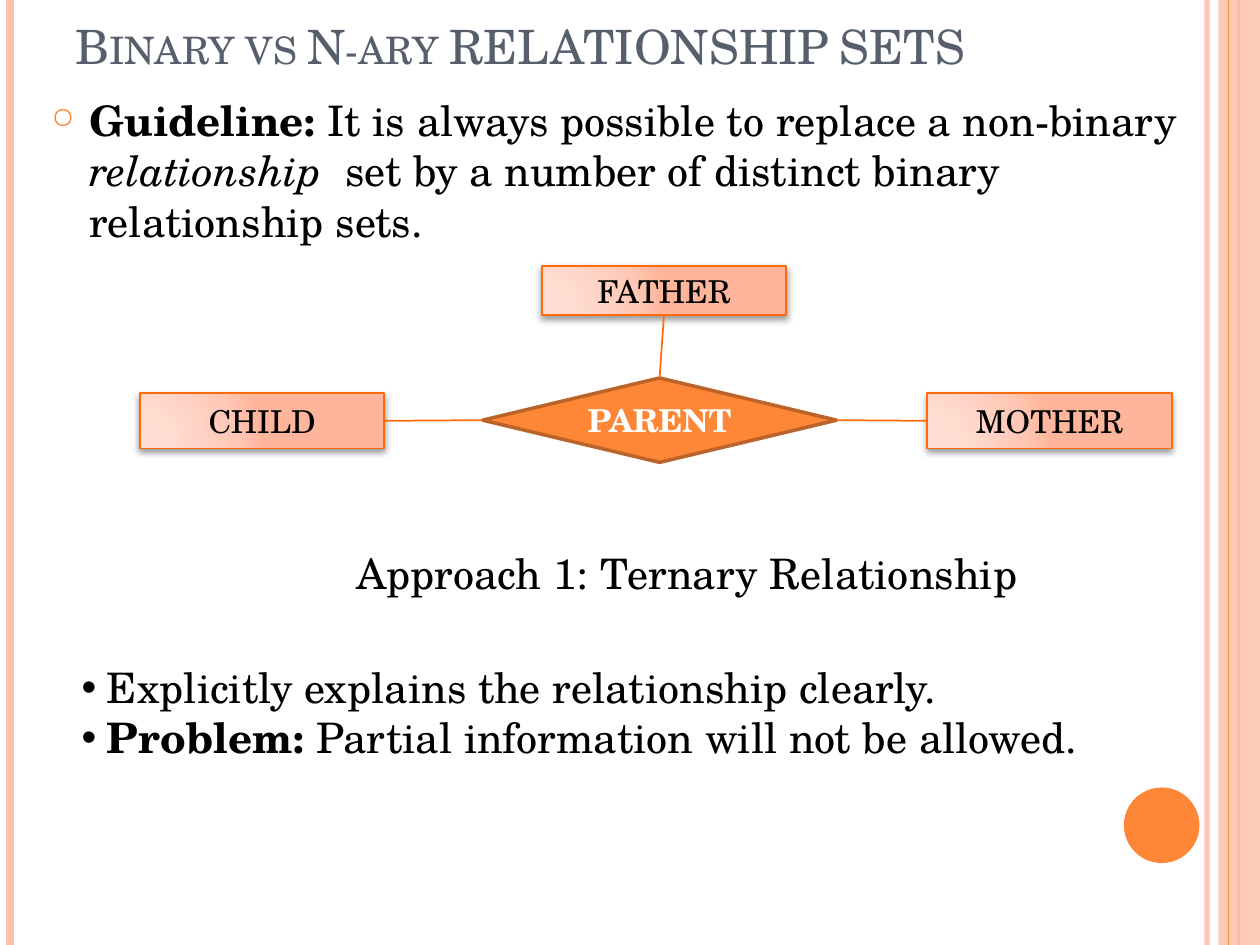
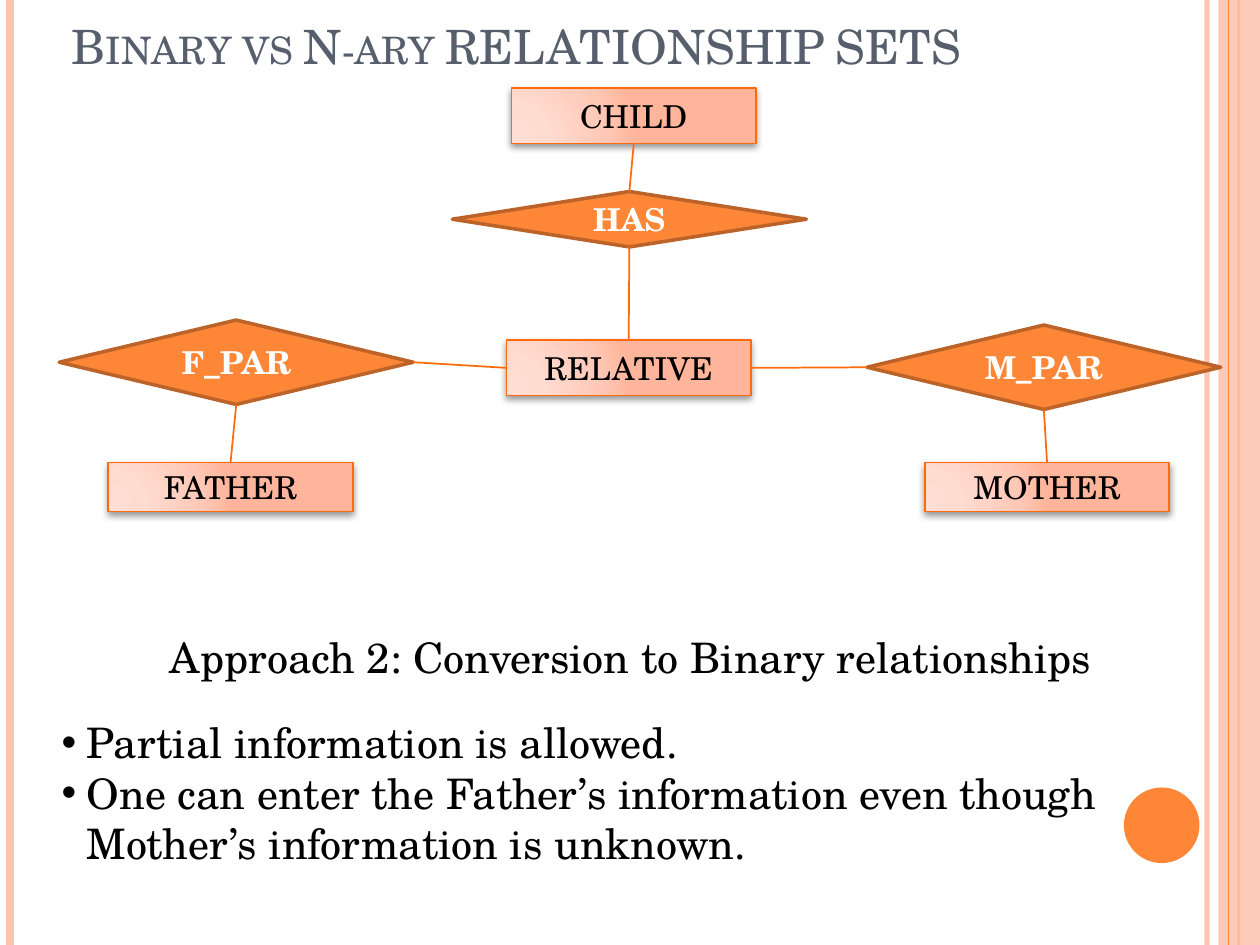
import pptx
import pptx.util
import pptx.dml.color
import pptx.enum.shapes
import pptx.enum.text
import pptx.oxml
import pptx.oxml.ns
from pptx.util import Inches

RGBColor = pptx.dml.color.RGBColor
SHAPE = pptx.enum.shapes.MSO_SHAPE
STRAIGHT = pptx.enum.shapes.MSO_CONNECTOR.STRAIGHT
ANCHOR = pptx.enum.text.MSO_ANCHOR
ALIGN = pptx.enum.text.PP_ALIGN
qn = pptx.oxml.ns.qn
NS = pptx.oxml.ns.nsdecls("a")

FONT = "TeX Gyre Schola"
BLACK = RGBColor(0x00, 0x00, 0x00)
WHITE = RGBColor(0xFF, 0xFF, 0xFF)
SLATE = RGBColor(0x57, 0x5F, 0x6D)
ORANGE = RGBColor(0xFE, 0x86, 0x37)
PEACH = RGBColor(0xFE, 0xC3, 0xAE)
EDGE = RGBColor(0xFF, 0x6B, 0x0A)
BROWN = RGBColor(0xBC, 0x63, 0x29)

STOPS = [(0, "FFDED5"), (30, "FFDBD0"), (75, "FFC8B6"), (100, "FFB59B")]
GRADIENT = (
    f'<a:gradFill {NS} rotWithShape="1"><a:gsLst>'
    + "".join(f'<a:gs pos="{pos * 1000}"><a:srgbClr val="{c}"/></a:gs>' for pos, c in STOPS)
    + '</a:gsLst><a:path path="circle">'
    '<a:fillToRect l="5000" t="100000" r="120000" b="10000"/></a:path></a:gradFill>'
)
SHADOW = (
    f'<a:outerShdw {NS} blurRad="50800" dist="25400" dir="5400000" rotWithShape="0">'
    '<a:srgbClr val="000000"><a:alpha val="40000"/></a:srgbClr></a:outerShdw>'
)

TITLE = "Binary vs N-ary RELATIONSHIP SETS"
TOP, LEFT, BOTTOM, RIGHT = range(4)
BOX_W, DIAMOND_W = 1.94, 2.81

SLIDES = [
    {
        "title_left": 0.5,
        "guideline": [
            ("Guideline: ", "b"),
            ("It is always possible to replace a non-binary ", ""),
            ("relationship ", "i"),
            (" set by a number of distinct binary relationship sets.", ""),
        ],
        "entities": {
            "CHILD": (1.11, 3.12, 0.44),
            "MOTHER": (7.36, 3.12, 0.44),
            "FATHER": (4.3, 2.11, 0.39),
        },
        "relationships": {"PARENT": (3.83, 3, 0.67)},
        "links": [
            ("PARENT", RIGHT, "MOTHER", LEFT),
            ("CHILD", RIGHT, "PARENT", LEFT),
            ("FATHER", BOTTOM, "PARENT", TOP),
        ],
        "caption": ("Approach 1: Ternary Relationship", 2.73, 4.3, 5.49),
        "points_at": (0.55, 5.2, 8.83),
        "points": [
            [("Explicitly explains the relationship clearly.", "")],
            [("Problem: ", "b"), ("Partial information will not be allowed.", "")],
        ],
    },
    {
        "title_left": 0.47,
        "guideline": None,
        "entities": {
            "RELATIVE": (4.02, 2.7, 0.44),
            "MOTHER": (7.34, 3.67, 0.39),
            "FATHER": (0.86, 3.67, 0.39),
            "CHILD": (4.06, 0.7, 0.44),
        },
        "relationships": {
            "M_PAR": (6.88, 2.58, 0.67),
            "F_PAR": (0.47, 2.54, 0.67),
            "HAS": (3.59, 1.52, 0.44),
        },
        "links": [
            ("RELATIVE", RIGHT, "M_PAR", LEFT),
            ("MOTHER", TOP, "M_PAR", BOTTOM),
            ("F_PAR", RIGHT, "RELATIVE", LEFT),
            ("FATHER", TOP, "F_PAR", BOTTOM),
            ("RELATIVE", TOP, "HAS", BOTTOM),
            ("HAS", TOP, "CHILD", BOTTOM),
        ],
        "caption": ("Approach 2: Conversion to Binary relationships", 1.25, 4.96, 7.59),
        "points_at": (0.39, 5.64, 8.62),
        "points": [
            [("Partial information is allowed.", "")],
            [("One can enter the Father’s information even though "
              "Mother’s information is unknown.", "")],
        ],
    },
]


def add_runs(p, runs, size=24, color=BLACK):
    for text, style in runs:
        r = p.add_run()
        r.text = text
        r.font.name = FONT
        r.font.size = pptx.util.Pt(size)
        r.font.color.rgb = color
        r.font.bold = style == "b"
        r.font.italic = style == "i"


def add_bullet(p, char, indent, look=""):
    pPr = p._p.get_or_add_pPr()
    pPr.set("marL", str(Inches(indent)))
    pPr.set("indent", str(-Inches(indent)))
    for xml in pptx.oxml.parse_xml(f'<a:pPr {NS}>{look}<a:buChar char="{char}"/></a:pPr>'):
        pPr.append(xml)


prs = pptx.Presentation()
prs.slide_width = Inches(10)
prs.slide_height = Inches(7.5)

for spec_data in SLIDES:
    s = prs.slides.add_slide(prs.slide_layouts[6])

    rules = []
    for x, color, width in [(9.58, PEACH, 3), (0.08, PEACH, 4.5), (9.83, ORANGE, 1.5), (9.75, ORANGE, 0.75)]:
        rule = s.shapes.add_connector(STRAIGHT, Inches(x), 0, Inches(x), prs.slide_height)
        rule.line.color.rgb = color
        rule.line.width = pptx.util.Pt(width)
        rule._element.spPr.append(pptx.oxml.parse_xml(f"<a:effectLst {NS}/>"))
        rules.append(rule)

    band = s.shapes.add_shape(SHAPE.RECTANGLE, Inches(9.67), 0, Inches(0.33), prs.slide_height)
    disc = s.shapes.add_shape(SHAPE.OVAL, Inches(8.92), Inches(6.25), Inches(0.6), Inches(0.6))
    for sp, color in [(band, PEACH), (disc, ORANGE)]:
        sp.shadow.inherit = False
        sp.fill.solid()
        sp.fill.fore_color.rgb = color
        sp.line.fill.background()
    rules[-1]._element.addprevious(band._element)
    for sp, alpha in [(rules[0], 93), (band, 87)]:
        clr = next(sp._element.spPr.iter(qn("a:srgbClr")))
        clr.append(pptx.oxml.parse_xml(f'<a:alpha {NS} val="{alpha * 1000}"/>'))

    title = s.shapes.add_textbox(Inches(spec_data["title_left"]), Inches(0.08), Inches(8.17), Inches(0.56))
    tf = title.text_frame
    tf.word_wrap = True
    tf.vertical_anchor = ANCHOR.BOTTOM
    add_runs(tf.paragraphs[0], [(TITLE, "")], 27, SLATE)
    tf.paragraphs[0].runs[0].font._element.set("cap", "small")

    if spec_data["guideline"]:
        tf = s.shapes.add_textbox(Inches(0.31), Inches(0.7), Inches(9.22), Inches(1.3)).text_frame
        tf.word_wrap = True
        p = tf.paragraphs[0]
        add_bullet(p, "○", 0.3, f'<a:buClr><a:srgbClr val="{ORANGE}"/></a:buClr><a:buSzPct val="70000"/>')
        add_runs(p, spec_data["guideline"])

    nodes = {}
    for group, kind, w in [("entities", SHAPE.RECTANGLE, BOX_W),
                           ("relationships", SHAPE.FLOWCHART_DECISION, DIAMOND_W)]:
        for name, (x, y, h) in spec_data[group].items():
            sp = s.shapes.add_shape(kind, Inches(x), Inches(y), Inches(w), Inches(h))
            sp.shadow.inherit = False
            entity = group == "entities"
            if entity:
                spPr = sp._element.spPr
                spPr.insert(2, pptx.oxml.parse_xml(GRADIENT))
                spPr.find(qn("a:effectLst")).append(pptx.oxml.parse_xml(SHADOW))
            else:
                sp.fill.solid()
                sp.fill.fore_color.rgb = ORANGE
            sp.line.color.rgb = EDGE if entity else BROWN
            sp.line.width = pptx.util.Pt(1 if entity else 2)
            tf = sp.text_frame
            tf.vertical_anchor = ANCHOR.MIDDLE
            p = tf.paragraphs[0]
            p.alignment = ALIGN.CENTER
            add_runs(p, [(name, "" if entity else "b")], 18, BLACK if entity else WHITE)
            nodes[name] = sp

    for start, start_side, end, end_side in spec_data["links"]:
        link = s.shapes.add_connector(STRAIGHT, 0, 0, 0, 0)
        link.begin_connect(nodes[start], start_side)
        link.end_connect(nodes[end], end_side)
        link.line.color.rgb = EDGE
        link.line.width = pptx.util.Pt(1)
        link._element.spPr.append(pptx.oxml.parse_xml(f"<a:effectLst {NS}/>"))

    text, x, y, w = spec_data["caption"]
    tf = s.shapes.add_textbox(Inches(x), Inches(y), Inches(w), Inches(0.5)).text_frame
    tf.word_wrap = False
    tf.auto_size = pptx.enum.text.MSO_AUTO_SIZE.SHAPE_TO_FIT_TEXT
    add_runs(tf.paragraphs[0], [(text, "")])

    x, y, w = spec_data["points_at"]
    tf = s.shapes.add_textbox(Inches(x), Inches(y), Inches(w), Inches(1.31)).text_frame
    tf.word_wrap = True
    for i, runs in enumerate(spec_data["points"]):
        p = tf.add_paragraph() if i else tf.paragraphs[0]
        add_bullet(p, "•", 0.2, '<a:buFont typeface="Arial"/>')
        add_runs(p, runs)

prs.save("out.pptx")
